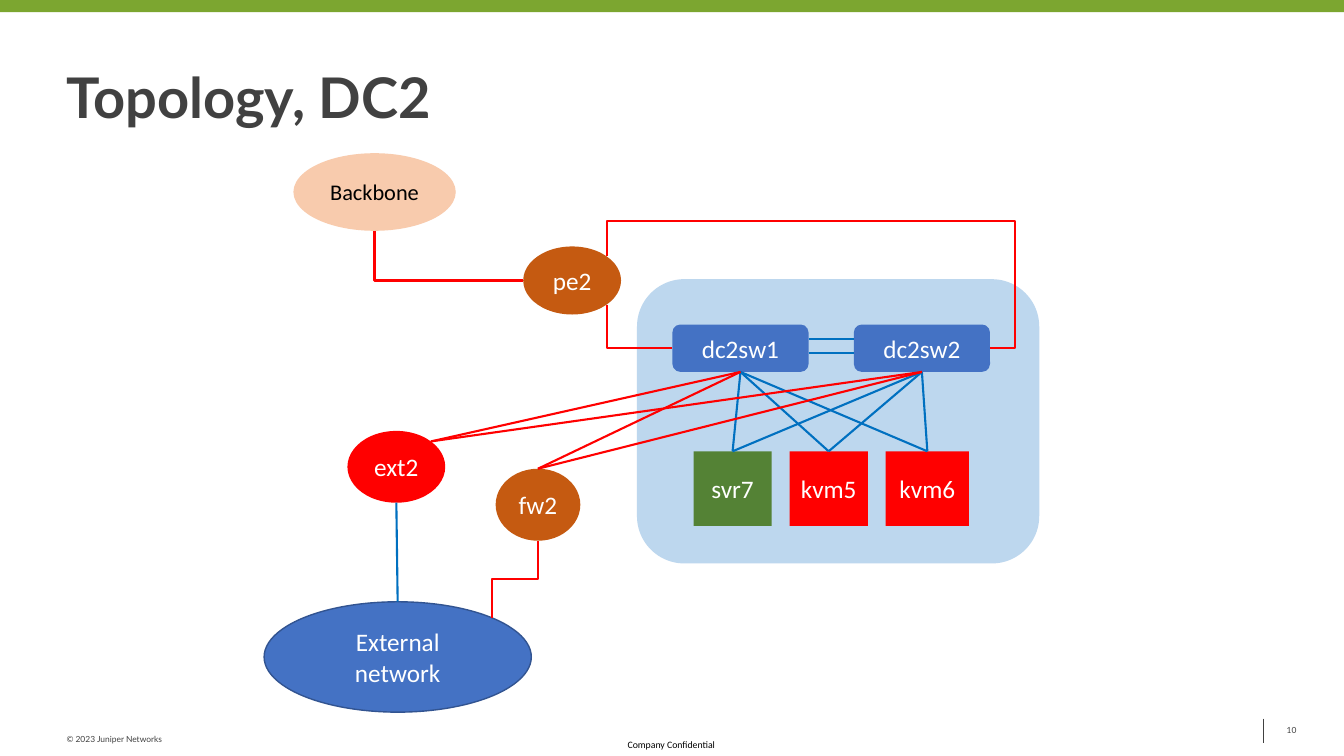
"""Build the DC2 topology slide."""
from dataclasses import dataclass
from lxml.etree import SubElement
from pptx import Presentation
from pptx.dml.color import RGBColor
from pptx.enum.shapes import MSO_CONNECTOR as Connector, MSO_SHAPE as Preset
from pptx.enum.text import MSO_ANCHOR as Anchor, PP_ALIGN as Align
from pptx.oxml.ns import qn
from pptx.util import Inches, Pt


@dataclass(frozen=True)
class Theme:
    heading: str = "Lato"
    body: str = "Calibri"
    ink: str = "414141"
    black: str = "000000"
    white: str = "FFFFFF"
    bar: str = "7CA630"
    zone: str = "BDD7EE"
    blue: str = "4472C4"
    outline: str = "325491"
    brown: str = "C55A11"
    green: str = "548235"
    red: str = "FF0000"
    peach: str = "F8CBAD"
    wire: str = "0070C0"
    title: int = 40
    label: int = 18
    small_label: int = 16
    confidential: int = 7
    footer: int = 6
    wire_width: float = 1.5


THEME = Theme()
WIDTH, HEIGHT = Inches(13.333), Inches(7.5)

# fmt: off
TEXTS = [
    ("Topology, DC2", (4.95, 1.87, 90.83, 15.47), THEME.heading, THEME.title, THEME.ink, Align.LEFT, Anchor.BOTTOM, 0.9),
    ("© 2023 Juniper Networks", (4.95, 97.2, 8.85, 1.2), THEME.heading, THEME.footer, THEME.ink, Align.LEFT, Anchor.TOP, 0.9),
    ("10", (94.13, 95.87, 2.33, 1.33), THEME.heading, THEME.footer, THEME.ink, Align.RIGHT, Anchor.TOP, 1.0),
    ("Company Confidential", (46.05, 96.93, 7.8, 3.07), THEME.body, THEME.confidential, THEME.black, Align.CENTER, Anchor.MIDDLE, 1.0),
]
PANELS = [
    (Preset.RECTANGLE, (0, 0, 100, 1.6), THEME.bar),
    (Preset.ROUNDED_RECTANGLE, (47.4, 36.93, 29.93, 37.6), THEME.zone),
]
NODES = [
    ("dc2sw1", Preset.ROUNDED_RECTANGLE, (50.03, 42.93, 10.13, 6.27), THEME.blue),
    ("dc2sw2", Preset.ROUNDED_RECTANGLE, (63.53, 42.93, 10.13, 6.27), THEME.blue),
    ("pe2", Preset.OVAL, (38.93, 32.6, 7.28, 9), THEME.brown),
    ("svr7", Preset.RECTANGLE, (51.6, 59.7, 5.82, 9.87), THEME.green),
    ("kvm5", Preset.RECTANGLE, (58.75, 59.7, 5.82, 9.87), THEME.red),
    ("kvm6", Preset.RECTANGLE, (65.9, 59.7, 6.2, 9.87), THEME.red),
    ("ext2", Preset.OVAL, (25.85, 57, 7.28, 9.5), THEME.red),
    ("External network", Preset.OVAL, (19.65, 79.6, 19.88, 14.6), THEME.blue),
    ("Backbone", Preset.OVAL, (21.83, 20.27, 12.08, 10.27), THEME.peach),
    ("fw2", Preset.OVAL, (36.88, 62, 6.3, 9.53), THEME.brown),
]
# fmt: on
LABEL_STYLES = {"Backbone": (THEME.small_label, THEME.black)}
OUTLINES = {"External network": THEME.outline}
SWITCHES = ("dc2sw1", "dc2sw2")
SERVERS = ("svr7", "kvm5", "kvm6")
UPLINKS = (("ext2", "top right"), ("fw2", "top"))
PEER_ROWS = ("upper", "lower")
ELBOWS = [
    ("pe2", "bottom right", "dc2sw1", "left", "bentConnector2", 270, "h", ()),
    ("pe2", "top right", "dc2sw2", "right", "bentConnector4", 270, "h", (-0.386, 1.066)),
    ("Backbone", "bottom", "pe2", "left", "bentConnector2", 270, "h", ()),
    ("External network", "top right", "fw2", "bottom", "bentConnector3", 90, "hv", (0.5,)),
]
DIAGONAL = 0.5 + 0.5 ** 1.5
PORTS = {
    "top": (0.5, 0), "left": (0, 0.5), "bottom": (0.5, 1), "right": (1, 0.5),
    "top right": (DIAGONAL, 1 - DIAGONAL), "bottom right": (DIAGONAL, DIAGONAL),
    "right upper": (1, 0.31), "right lower": (1, 0.61),
    "left upper": (0, 0.31), "left lower": (0, 0.61),
}
SITES = {"top": 0, "left": 1, "bottom": 2, "right": 3}


def color(value):
    return RGBColor.from_string(value)


def place(box):
    return [int(size * share / 100) for size, share in zip((WIDTH, HEIGHT) * 2, box)]


def write(shape, text, font, size, ink, align, anchor, spacing=None):
    frame = shape.text_frame
    frame.word_wrap = True
    frame.vertical_anchor = anchor
    paragraph = frame.paragraphs[0]
    paragraph.text = text
    paragraph.alignment = align
    paragraph.line_spacing = spacing
    paragraph.font.name = font
    paragraph.font.size = Pt(size)
    paragraph.font.color.rgb = color(ink)
    paragraph.font.bold = size == THEME.title


def add_text(slide, text, box, *style):
    shape = slide.shapes.add_textbox(*place(box))
    frame = shape.text_frame
    frame.margin_left = frame.margin_top = frame.margin_right = frame.margin_bottom = 0
    write(shape, text, *style)


def add_panel(slide, preset, box, fill, outline=None):
    shape = slide.shapes.add_shape(preset, *place(box))
    shape.shadow.inherit = False
    shape.fill.solid()
    shape.fill.fore_color.rgb = color(fill)
    if outline:
        shape.line.color.rgb = color(outline)
        shape.line.width = Pt(1)
    else:
        shape.line.fill.background()
    return shape


def add_node(slide, name, preset, box, fill):
    shape = add_panel(slide, preset, box, fill, OUTLINES.get(name))
    size, ink = LABEL_STYLES.get(name, (THEME.label, THEME.white))
    write(shape, name, THEME.body, size, ink, Align.CENTER, Anchor.MIDDLE)
    return shape


def add_line(slide, kind, start, end, ink, width=THEME.wire_width):
    line = slide.shapes.add_connector(kind, *start, *end)
    line.line.color.rgb = color(ink)
    line.line.width = Pt(width)
    SubElement(line._element.spPr, qn("a:effectLst"))
    return line


def port(shape, side):
    across, down = PORTS[side]
    return int(shape.left + across * shape.width), int(shape.top + down * shape.height)


def can_join(shape, side):
    return side == "top" or (side in SITES and shape.auto_shape_type != Preset.OVAL)


def add_link(slide, source, source_side, target, target_side, ink):
    start, end = port(source, source_side), port(target, target_side)
    line = add_line(slide, Connector.STRAIGHT, start, end, ink)
    if can_join(source, source_side):
        line.begin_connect(source, SITES[source_side])
    if can_join(target, target_side):
        line.end_connect(target, SITES[target_side])


def add_elbow(slide, start, end, preset, turn, flips, bends):
    line = add_line(slide, Connector.ELBOW, start, end, THEME.red)
    (x1, y1), (x2, y2) = start, end
    line.width, line.height = abs(y2 - y1), abs(x2 - x1)
    line.left = (x1 + x2 - line.width) // 2
    line.top = (y1 + y2 - line.height) // 2
    transform = line._element.spPr.find(qn("a:xfrm"))
    transform.set("rot", str(turn * 60000))
    for axis in "hv":
        transform.set(f"flip{axis.upper()}", str(int(axis in flips)))
    geometry = line._element.spPr.find(qn("a:prstGeom"))
    geometry.set("prst", preset)
    guides = geometry.find(qn("a:avLst"))
    for number, bend in enumerate(bends, 1):
        SubElement(guides, qn("a:gd"), name=f"adj{number}", fmla=f"val {round(bend * 100000)}")


def main():
    presentation = Presentation()
    presentation.slide_width, presentation.slide_height = WIDTH, HEIGHT
    slide = presentation.slides.add_slide(presentation.slide_layouts[6])
    for panel in PANELS:
        add_panel(slide, *panel)
    for text in TEXTS:
        add_text(slide, *text)
    divider = place((93.98, 95.07, 93.98, 98.27))
    add_line(slide, Connector.STRAIGHT, divider[:2], divider[2:], THEME.ink, 0.5)
    nodes = {node[0]: add_node(slide, *node) for node in NODES}
    first, second = (nodes[name] for name in SWITCHES)
    for row in PEER_ROWS:
        add_link(slide, first, f"right {row}", second, f"left {row}", THEME.wire)
    for switch in (first, second):
        for server in SERVERS:
            add_link(slide, switch, "bottom", nodes[server], "top", THEME.wire)
    for switch in (first, second):
        for name, side in UPLINKS:
            add_link(slide, switch, "bottom", nodes[name], side, THEME.red)
    add_link(slide, nodes["ext2"], "bottom", nodes["External network"], "top", THEME.wire)
    for source, source_side, target, target_side, *bend in ELBOWS:
        start, end = port(nodes[source], source_side), port(nodes[target], target_side)
        add_elbow(slide, start, end, *bend)
    presentation.save("out.pptx")


if __name__ == "__main__":
    main()
